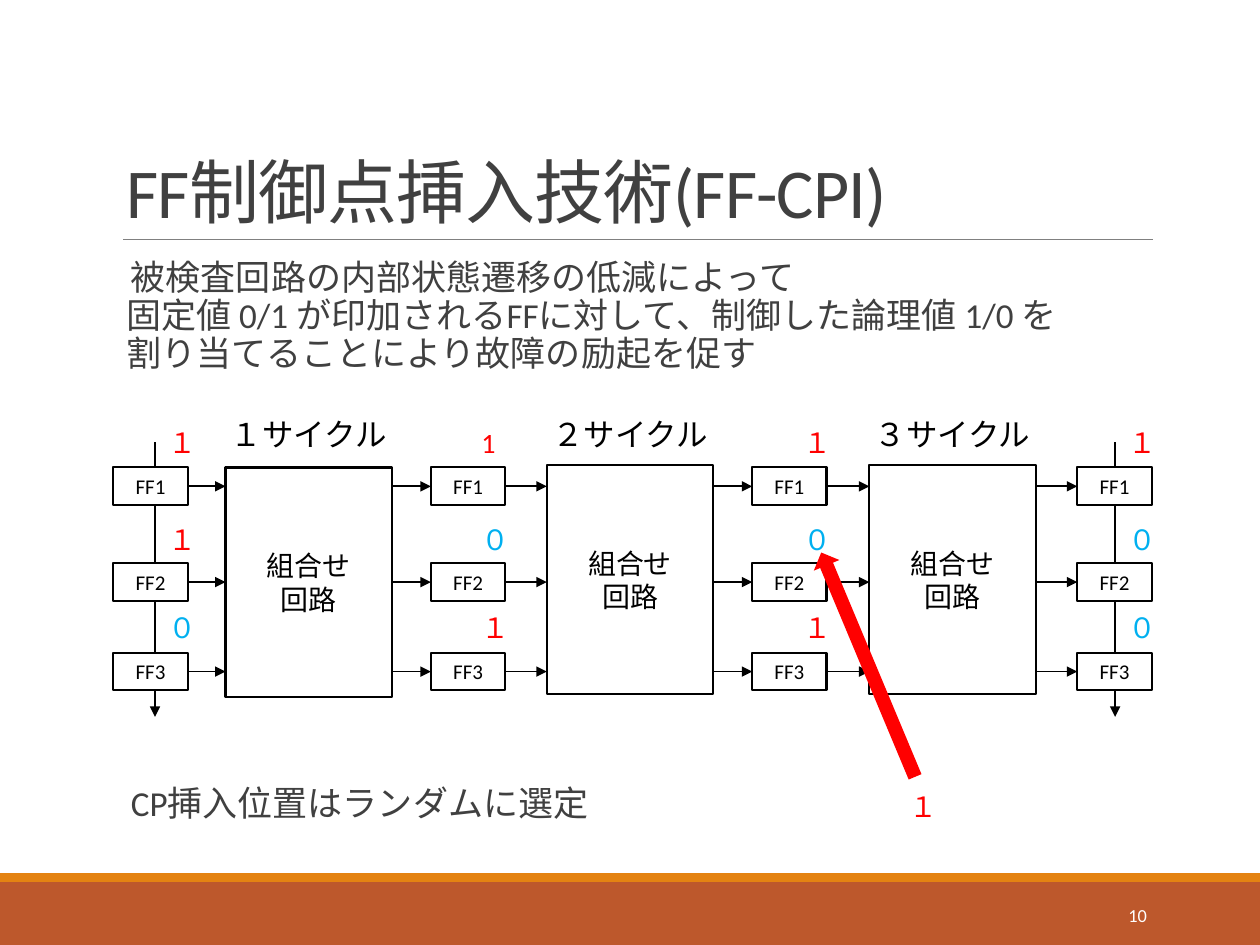
"""Build a slide on flip-flop control point insertion across three cycles."""
from dataclasses import dataclass

from pptx import Presentation
from pptx.dml.color import RGBColor
from pptx.enum.shapes import MSO_CONNECTOR, MSO_SHAPE
from pptx.enum.text import MSO_ANCHOR, MSO_AUTO_SIZE, PP_ALIGN
from pptx.oxml.ns import qn
from pptx.oxml.xmlchemy import OxmlElement
from pptx.util import Inches, Pt

STRAIGHT = MSO_CONNECTOR.STRAIGHT
RECTANGLE, DOWN_ARROW = MSO_SHAPE.RECTANGLE, MSO_SHAPE.DOWN_ARROW
TOP, MIDDLE, BOTTOM = MSO_ANCHOR.TOP, MSO_ANCHOR.MIDDLE, MSO_ANCHOR.BOTTOM
LEFT, CENTER, RIGHT = PP_ALIGN.LEFT, PP_ALIGN.CENTER, PP_ALIGN.RIGHT
NO_AUTOFIT = MSO_AUTO_SIZE.NONE
LEFT_SIDE, RIGHT_SIDE = 1, 3

FLIP_FLOP_LEFTS = (0.9, 3.42, 5.97, 8.55)
FLIP_FLOP_TOPS = (3.71, 4.47, 5.18)
BLOCKS = ((1.79, 3.71, "１サイクル"), (4.34, 3.69, "２サイクル"), (6.9, 3.69, "３サイクル"))
VALUE_LEFTS = (1.23, 3.71, 6.27, 8.85)
VALUE_TOPS = (3.36, 4.13, 4.83)
VALUES = ("１１０", "1０１", "１０１", "１００")
SCAN_LINES = (1.23, 8.85)


@dataclass(frozen=True)
class Theme:
    """Colours, font and type sizes of the slide."""
    font: str = "Calibri"
    ink: str = "000000"
    text: str = "404040"
    paper: str = "FFFFFF"
    rule: str = "808080"
    footer: str = "BD582C"
    accent: str = "E48312"
    one: str = "FF0000"
    zero: str = "00B0F0"
    title_size: float = 40
    body_size: float = 20
    cycle_size: float = 18
    block_size: float = 16
    flip_flop_size: float = 12
    number_size: float = 10.5


class SlideBuilder:
    """Draw each kind of element on one slide in one theme."""

    def __init__(self, presentation, theme):
        self.theme = theme
        self.slide = presentation.slides.add_slide(presentation.slide_layouts[5])

    def add_text(self, paragraph, text, size, color):
        """Add text run by run, with a line break between lines."""
        for index, line in enumerate(text.split("\n")):
            if index:
                paragraph.add_line_break()
            run = paragraph.add_run()
            run.text = line
            run.font.name = self.theme.font
            run.font.size = Pt(size)
            run.font.color.rgb = RGBColor.from_string(color)

    def title(self, text, left, top, width, height):
        """Move and format the title placeholder."""
        shape = self.slide.shapes.title
        shape.left, shape.top = Inches(left), Inches(top)
        shape.width, shape.height = Inches(width), Inches(height)
        frame = shape.text_frame
        frame.auto_size = NO_AUTOFIT
        frame.vertical_anchor = BOTTOM
        paragraph = frame.paragraphs[0]
        paragraph.alignment = LEFT
        paragraph.line_spacing = 0.85
        self.add_text(paragraph, text, self.theme.title_size, self.theme.text)
        paragraph.runs[0].font._element.set("spc", "-50")

    def label(self, text, left, top, width, height, size, color, alignment=CENTER):
        """Add one line of text centred on its height."""
        frame = self.slide.shapes.add_textbox(
            Inches(left), Inches(top), Inches(width), Inches(height)).text_frame
        frame.word_wrap = True
        frame.vertical_anchor = MIDDLE
        frame.paragraphs[0].alignment = alignment
        self.add_text(frame.paragraphs[0], text, size, color)

    def note(self, text, left, top, width, height, size, color):
        """Add a text box with a hanging blank bullet."""
        frame = self.slide.shapes.add_textbox(
            Inches(left), Inches(top), Inches(width), Inches(height)).text_frame
        frame.word_wrap = True
        frame.vertical_anchor = TOP
        frame.margin_left = frame.margin_right = 0
        paragraph = frame.paragraphs[0]
        properties = paragraph._p.get_or_add_pPr()
        properties.set("marL", str(Inches(0.1)))
        properties.set("indent", str(-Inches(0.1)))
        bullet_color, bullet = OxmlElement("a:buClr"), OxmlElement("a:buChar")
        swatch = OxmlElement("a:srgbClr")
        swatch.set("val", self.theme.accent)
        bullet_color.append(swatch)
        bullet.set("char", " ")
        properties.extend((bullet_color, bullet))
        paragraph.line_spacing = 0.9
        self.add_text(paragraph, text, size, color)

    def value(self, digit, left, top):
        """Add a logic value in the colour of its state."""
        color = self.theme.zero if digit == "０" else self.theme.one
        self.note(digit, left, top, 0.33, 0.34, self.theme.block_size, color)

    def shape(self, kind, left, top, width, height, color):
        """Add a filled shape without an outline."""
        shape = self.slide.shapes.add_shape(
            kind, Inches(left), Inches(top), Inches(width), Inches(height))
        shape.shadow.inherit = False
        shape.fill.solid()
        shape.fill.fore_color.rgb = RGBColor.from_string(color)
        shape.line.fill.background()
        return shape

    def box(self, lines, left, top, width, height, size):
        """Add an outlined box with one centred paragraph per line."""
        shape = self.shape(RECTANGLE, left, top, width, height, self.theme.paper)
        shape.line.color.rgb = RGBColor.from_string(self.theme.ink)
        shape.line.width = Pt(1.25)
        frame = shape.text_frame
        frame.vertical_anchor = MIDDLE
        for index, line in enumerate(lines):
            paragraph = frame.add_paragraph() if index else frame.paragraphs[0]
            paragraph.alignment = CENTER
            self.add_text(paragraph, line, size, self.theme.ink)
        return shape

    def line(self, start, end, color, weight, arrow=False):
        """Add a straight line between two points given in lengths."""
        connector = self.slide.shapes.add_connector(STRAIGHT, *start, *end)
        connector.line.color.rgb = RGBColor.from_string(color)
        connector.line.width = Pt(weight)
        properties = connector._element.spPr
        if arrow:
            head = OxmlElement("a:tailEnd")
            head.set("type", "triangle")
            properties.find(qn("a:ln")).append(head)
        properties.append(OxmlElement("a:effectLst"))
        return connector

    def link(self, source, target, flip_flop):
        """Add a level arrow at a flip-flop, joined where it meets a side's middle."""
        middle = flip_flop.top + flip_flop.height // 2
        connector = self.line((source.left + source.width, middle),
                              (target.left, middle), self.theme.ink, 1, True)
        if source.top + source.height // 2 == middle:
            connector.begin_connect(source, RIGHT_SIDE)
        if target.top + target.height // 2 == middle:
            connector.end_connect(target, LEFT_SIDE)


def draw_circuit(builder, theme):
    """Draw the flip-flop columns, the logic blocks and their links."""
    for x in SCAN_LINES:
        builder.line((Inches(x), Inches(3.51)), (Inches(x), Inches(5.69)), theme.ink, 1, True)
    blocks = []
    for left, top, cycle in BLOCKS:
        blocks.append(builder.box(("組合せ", "回路"), left, top, 1.32, 1.82, theme.block_size))
        builder.label(cycle, left - 0.17, 3.25, 1.66, 0.39, theme.cycle_size, theme.ink)
    columns = [[builder.box((f"FF{row}",), left, top, 0.59, 0.3, theme.flip_flop_size)
                for row, top in enumerate(FLIP_FLOP_TOPS, 1)] for left in FLIP_FLOP_LEFTS]
    for block, sources, targets in zip(blocks, columns, columns[1:]):
        for source, target in zip(sources, targets):
            builder.link(source, block, source)
            builder.link(block, target, target)
    for left, digits in zip(VALUE_LEFTS, VALUES):
        for top, digit in zip(VALUE_TOPS, digits):
            builder.value(digit, left, top)


def main():
    """Build and save the presentation."""
    theme = Theme()
    presentation = Presentation()
    presentation.slide_width, presentation.slide_height = Inches(10), Inches(7.5)
    builder = SlideBuilder(presentation, theme)
    builder.shape(RECTANGLE, 0, 7, 10, 0.5, theme.footer)
    builder.shape(RECTANGLE, 0, 6.93, 10, 0.07, theme.accent)
    builder.line((Inches(0.98), Inches(1.9)), (Inches(9.15), Inches(1.9)), theme.rule, 0.5)
    builder.title("FF制御点挿入技術(FF-CPI)", 0.9, 0.31, 8.25, 1.59)
    builder.note("被検査回路の内部状態遷移の低減によって\n"
                 "固定値 0/1 が印加されるFFに対して、制御した論理値 1/0 を\n"
                 "割り当てることにより故障の励起を促す",
                 0.9, 2.02, 8.25, 1.05, theme.body_size, theme.text)
    draw_circuit(builder, theme)
    builder.label("10", 8.12, 7.06, 1.08, 0.4, theme.number_size, theme.paper, RIGHT)
    builder.value("１", 7.11, 6.25)
    builder.note("CP挿入位置はランダムに選定", 0.9, 6.19, 8.25, 0.57, theme.body_size, theme.text)
    builder.shape(DOWN_ARROW, 6.78, 4.31, 0.22, 1.93, theme.one).rotation = 157.3
    presentation.save("out.pptx")


if __name__ == "__main__":
    main()
